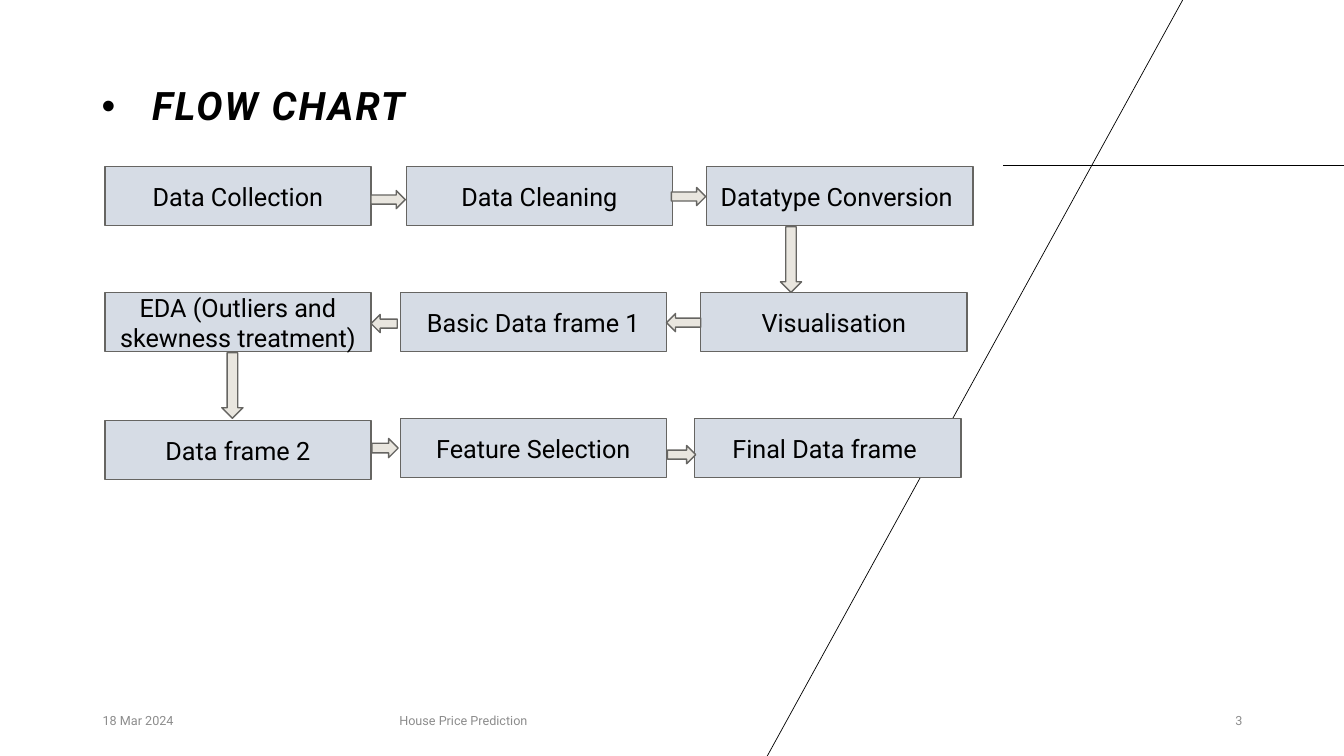
from lxml import etree
from pptx import Presentation
from pptx.dml.color import RGBColor
from pptx.enum import shapes, text
from pptx.oxml import ns
from pptx.util import Inches, Pt

# Content: each row has its steps as (label, left, top)
ROWS = [
    [("Data Collection", 1.04, 1.65), ("Data Cleaning", 4.03, 1.65),
     ("Datatype Conversion ", 7.01, 1.65)],
    [("Visualisation", 6.95, 2.9), ("Basic Data frame 1", 3.97, 2.9),
     ("EDA (Outliers and skewness treatment)", 1.04, 2.9)],
    [("Data frame 2", 1.04, 4.17), ("Feature Selection", 3.97, 4.15),
     ("Final Data frame ", 6.89, 4.15)],
]
BOX_W, BOX_H = 2.64, 0.59

# Arrows: left, top, width, height, turn
ARROWS = [
    (3.68, 1.89, 0.34, 0.18, 0), (6.66, 1.86, 0.34, 0.18, 0),
    (7.52, 2.47, 0.65, 0.21, 90), (1.98, 3.72, 0.65, 0.21, 90),
    (6.61, 3.11, 0.34, 0.18, 180), (3.68, 3.12, 0.26, 0.18, 180),
    (3.69, 4.35, 0.26, 0.19, 0), (6.62, 4.42, 0.28, 0.18, 0),
]
LINES = [(9.95, 1.64, 13.33, 1.64), (11.73, 0, 7.61, 7.5)]

ALIGN = text.PP_ALIGN
FOOTER = [
    ("18 Mar 2024", 0.92, 1.33, ALIGN.LEFT),
    ("House Price Prediction", 2.69, 3.81, ALIGN.CENTER),
    ("3", 9.42, 3, ALIGN.RIGHT),
]
BLACK, GREY, EDGE, BLUE, SAND = "000000", "8C8C8C", "666562", "D6DCE5", "E9E6DF"

deck = Presentation()
deck.slide_width, deck.slide_height = Inches(13.33), Inches(7.5)
slide = deck.slides.add_slide(deck.slide_layouts[6])


def color(code):
    return RGBColor.from_string(code)


def write(shape, words, size=18, ink=BLACK, align=ALIGN.CENTER,
          anchor=text.MSO_ANCHOR.MIDDLE, bold=False, italic=False):
    frame = shape.text_frame
    frame.word_wrap = True
    frame.vertical_anchor = anchor
    para = frame.paragraphs[0]
    para.alignment = align
    run = para.add_run()
    run.text = words
    font = run.font
    font.name, font.size = "Roboto", Pt(size)
    font.bold, font.italic = bold, italic
    font.color.rgb = color(ink)
    return para


def label(left, top, width, height, words, **style):
    box = slide.shapes.add_textbox(*map(Inches, (left, top, width, height)))
    return write(box, words, **style)


def draw(kind, left, top, width, height, fill):
    shape = slide.shapes.add_shape(kind, *map(Inches, (left, top, width, height)))
    shape.shadow.inherit = False
    shape.fill.solid()
    shape.fill.fore_color.rgb = color(fill)
    shape.line.color.rgb = color(EDGE)
    shape.line.width = Pt(1)
    return shape


# Background lines
for ends in LINES:
    line = slide.shapes.add_connector(shapes.MSO_CONNECTOR.STRAIGHT, *map(Inches, ends))
    line.line.color.rgb = color(BLACK)
    line.line.width = Pt(0.5)
    etree.SubElement(line._element.spPr, ns.qn("a:effectLst"))

# Title with its bullet
title = label(0.91, 0.01, 5.59, 1.32, "FLOW CHART", size=28, align=ALIGN.LEFT,
              anchor=text.MSO_ANCHOR.BOTTOM, bold=True, italic=True)
title.line_spacing = 0.9
props = title._p.get_or_add_pPr()
props.set("marL", str(Inches(0.5)))
props.set("indent", str(Inches(-0.5)))
etree.SubElement(props, ns.qn("a:buFont")).set("typeface", "Arial")
etree.SubElement(props, ns.qn("a:buChar")).set("char", "•")
title.runs[0].font._element.set("spc", "150")

# Footer
for words, left, width, align in FOOTER:
    label(left, 6.95, width, 0.4, words, size=9, ink=GREY, align=align)

# Steps
for row in ROWS:
    for words, left, top in row:
        write(draw(shapes.MSO_SHAPE.RECTANGLE, left, top, BOX_W, BOX_H, BLUE), words)

# Arrows between steps
for *place, turn in ARROWS:
    draw(shapes.MSO_SHAPE.RIGHT_ARROW, *place, SAND).rotation = turn

deck.save("out.pptx")
